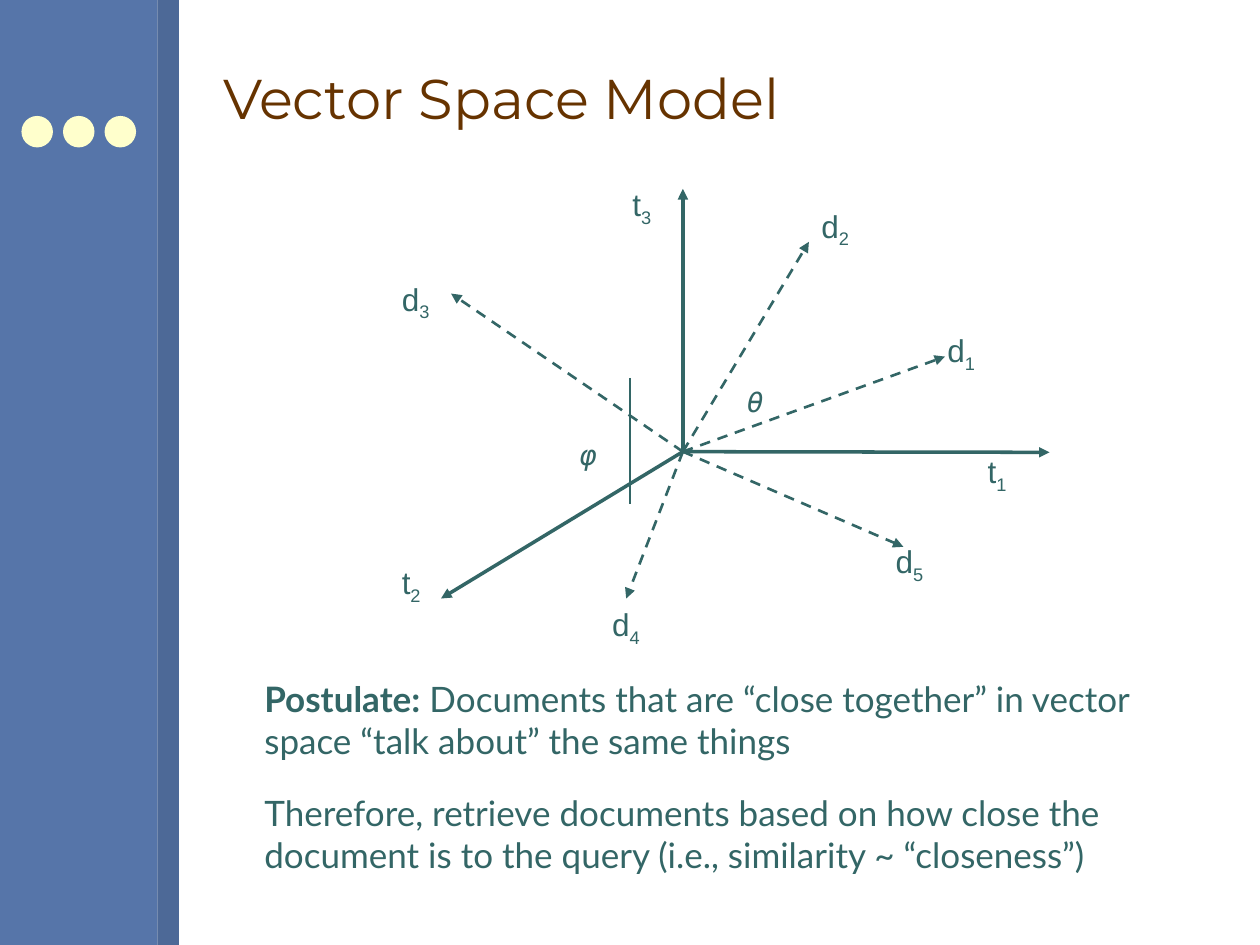
from lxml.etree import SubElement
from pptx import Presentation
from pptx.dml.color import RGBColor
from pptx.enum.dml import MSO_LINE
from pptx.enum.shapes import MSO_CONNECTOR, MSO_SHAPE
from pptx.enum.text import MSO_ANCHOR, PP_ALIGN
from pptx.oxml.ns import qn
from pptx.util import Inches, Pt

BLUE = RGBColor(0x56, 0x75, 0xA9)
DARK_BLUE = RGBColor(0x4D, 0x69, 0x97)
CREAM = RGBColor(0xFF, 0xFF, 0xCC)
BROWN = RGBColor(0x66, 0x33, 0x00)
TEAL = RGBColor(0x33, 0x66, 0x66)

TITLE = "Vector Space Model"
STATEMENTS = [
    (5.33, "Postulate:",
     " Documents that are “close together” in vector space “talk about” the same things"),
    (6.23, "", "Therefore, retrieve documents based on how close the document is "
     "to the query (i.e., similarity ~ “closeness”)"),
]
ORIGIN = (5.42, 3.585)
AXES = [
    ("1", (8.33, 3.59), (7.74, 3.54)),
    ("3", (5.42, 1.5), (4.92, 1.42)),
    ("2", (3.5, 4.75), (3.09, 4.42)),
]
DOCUMENTS = [
    ("1", (7.5, 2.83), (7.42, 2.58)),
    ("5", (7.17, 4.34), (7.01, 4.25)),
    ("2", (6.42, 1.92), (6.42, 1.59)),
    ("4", (4.97, 4.75), (4.76, 4.75)),
    ("3", (3.58, 2.33), (3.09, 2.17)),
]
ANGLES = [
    ("θ", (5.83, 3), [
        (5.67, 3.25), (5.73, 3.24), (5.79, 3.22), (5.83, 3.25),
        (5.87, 3.28), (5.9, 3.39), (5.92, 3.42)]),
    ("φ", (4.5, 3.42), [
        (5.17, 3.42), (5.1, 3.44), (5.04, 3.46), (5, 3.5),
        (4.96, 3.54), (4.92, 3.6), (4.92, 3.67),
        (4.92, 3.74), (4.94, 3.86), (5, 3.92),
        (5.06, 3.97), (5.22, 4.02), (5.25, 4)]),
]


def add_run(p, text, font="Lato", size=20, color=TEAL, bold=False, italic=False, sub=False):
    r = p.add_run()
    r.text = text
    r.font.name = font
    r.font.size = Pt(size)
    r.font.color.rgb = color
    r.font.bold = bold
    r.font.italic = italic
    if sub:
        r._r.get_or_add_rPr().set("baseline", "-25000")


def add_box(s, left, top, width, height, wrap=True):
    box = s.shapes.add_textbox(Inches(left), Inches(top), Inches(width), Inches(height))
    tf = box.text_frame
    tf.word_wrap = wrap
    return tf.paragraphs[0]


def add_solid(s, kind, left, top, width, height, color):
    sp = s.shapes.add_shape(kind, Inches(left), Inches(top), Inches(width), Inches(height))
    sp.shadow.inherit = False
    sp.fill.solid()
    sp.fill.fore_color.rgb = color
    sp.line.fill.background()


def add_vector(s, tip, width, dashed):
    points = [Inches(v) for v in ORIGIN + tip]
    line = s.shapes.add_connector(MSO_CONNECTOR.STRAIGHT, *points)
    line.line.color.rgb = TEAL
    line.line.width = Pt(width)
    if dashed:
        line.line.dash_style = MSO_LINE.DASH
    SubElement(line.line._get_or_add_ln(), qn("a:tailEnd"), type="triangle")
    SubElement(line._element.spPr, qn("a:effectLst"))


def curve_points(knots, steps=10):
    points = [knots[0]]
    for i in range(0, len(knots) - 1, 3):
        a, b, c, d = knots[i:i + 4]
        for n in range(1, steps + 1):
            t = n / steps
            u = 1 - t
            weights = (u ** 3, 3 * u * u * t, 3 * u * t * t, t ** 3)
            points.append(tuple(
                sum(w * k[axis] for w, k in zip(weights, (a, b, c, d))) for axis in (0, 1)))
    return points


def add_arc(s, knots):
    start, *rest = curve_points(knots)
    builder = s.shapes.build_freeform(*start, scale=Inches(1))
    builder.add_line_segments(rest, close=False)
    arc = builder.convert_to_shape()
    arc.shadow.inherit = False
    arc.fill.background()
    arc.line.color.rgb = TEAL
    arc.line.width = Pt(0.75)


def main():
    prs = Presentation()
    prs.slide_width = Inches(10)
    prs.slide_height = Inches(7.5)
    s = prs.slides.add_slide(prs.slide_layouts[5])

    add_solid(s, MSO_SHAPE.RECTANGLE, 0, 0, 1.25, 7.5, BLUE)
    add_solid(s, MSO_SHAPE.RECTANGLE, 1.25, 0, 0.17, 7.5, DARK_BLUE)
    for i in range(3):
        add_solid(s, MSO_SHAPE.OVAL, 0.17 + 0.33 * i, 0.92, 0.25, 0.25, CREAM)

    title = s.shapes.title
    title.left, title.top = Inches(1.67), Inches(0.21)
    title.width, title.height = Inches(8), Inches(1.13)
    tf = title.text_frame
    tf.vertical_anchor = MSO_ANCHOR.MIDDLE
    tf.paragraphs[0].alignment = PP_ALIGN.LEFT
    add_run(tf.paragraphs[0], TITLE, font="Montserrat", size=32, color=BROWN)

    for letter, vectors, width, dashed, label_width in (
            ("t", AXES, 2, False, 0.35), ("d", DOCUMENTS, 1.5, True, 0.42)):
        for number, tip, place in vectors:
            add_vector(s, tip, width, dashed)
            p = add_box(s, *place, label_width, 0.44, wrap=False)
            add_run(p, letter, font="Arial", size=18)
            add_run(p, number, font="Arial", size=18, sub=True)

    for symbol, place, knots in ANGLES:
        add_arc(s, knots)
        p = add_box(s, *place, 0.3, 0.37)
        add_run(p, symbol, font="DejaVu Sans Mono", size=16, italic=True)

    for top, lead, text in STATEMENTS:
        p = add_box(s, 2, top, 7.5, 0.77)
        if lead:
            add_run(p, lead, bold=True)
        add_run(p, text)

    prs.save("out.pptx")


if __name__ == "__main__":
    main()
